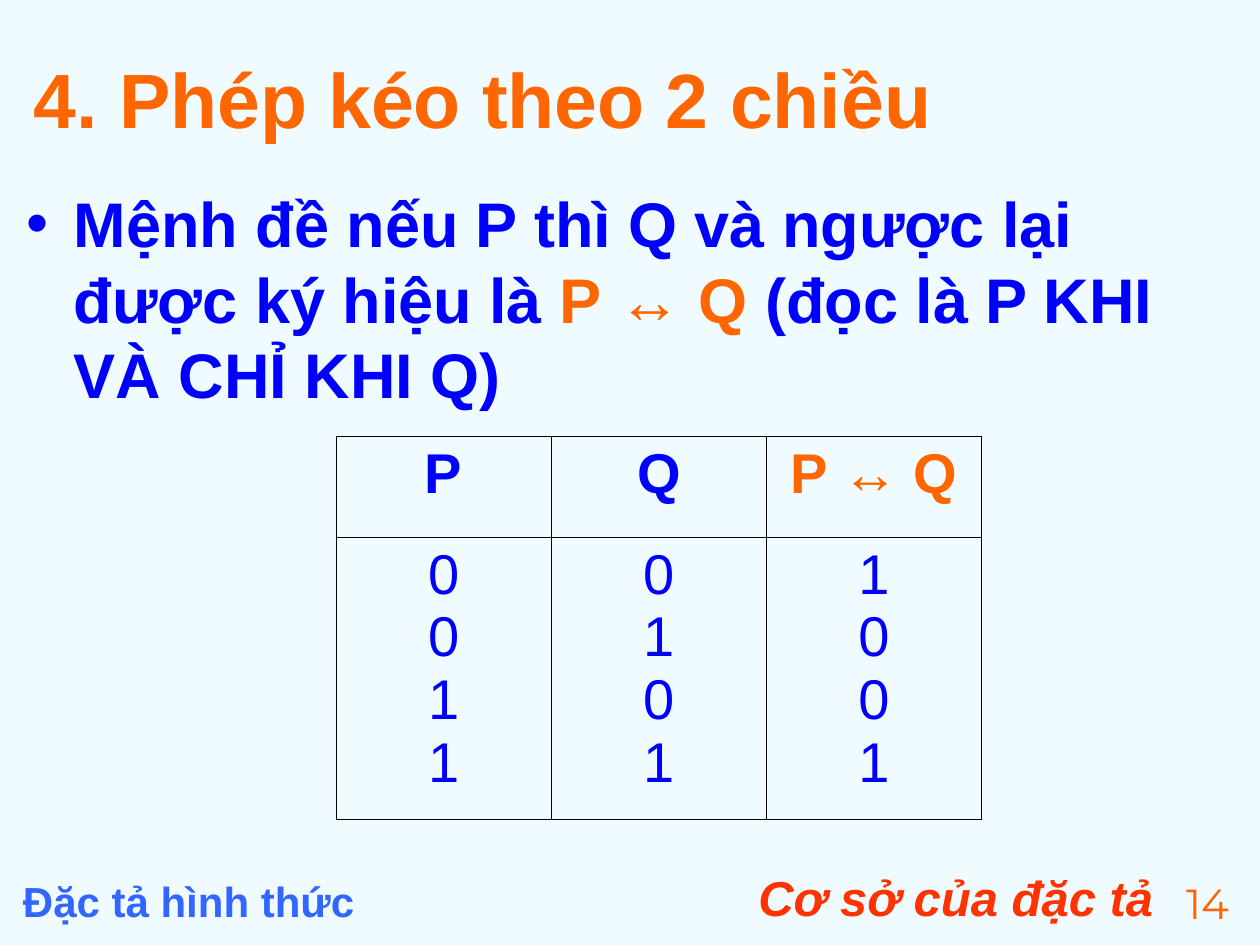
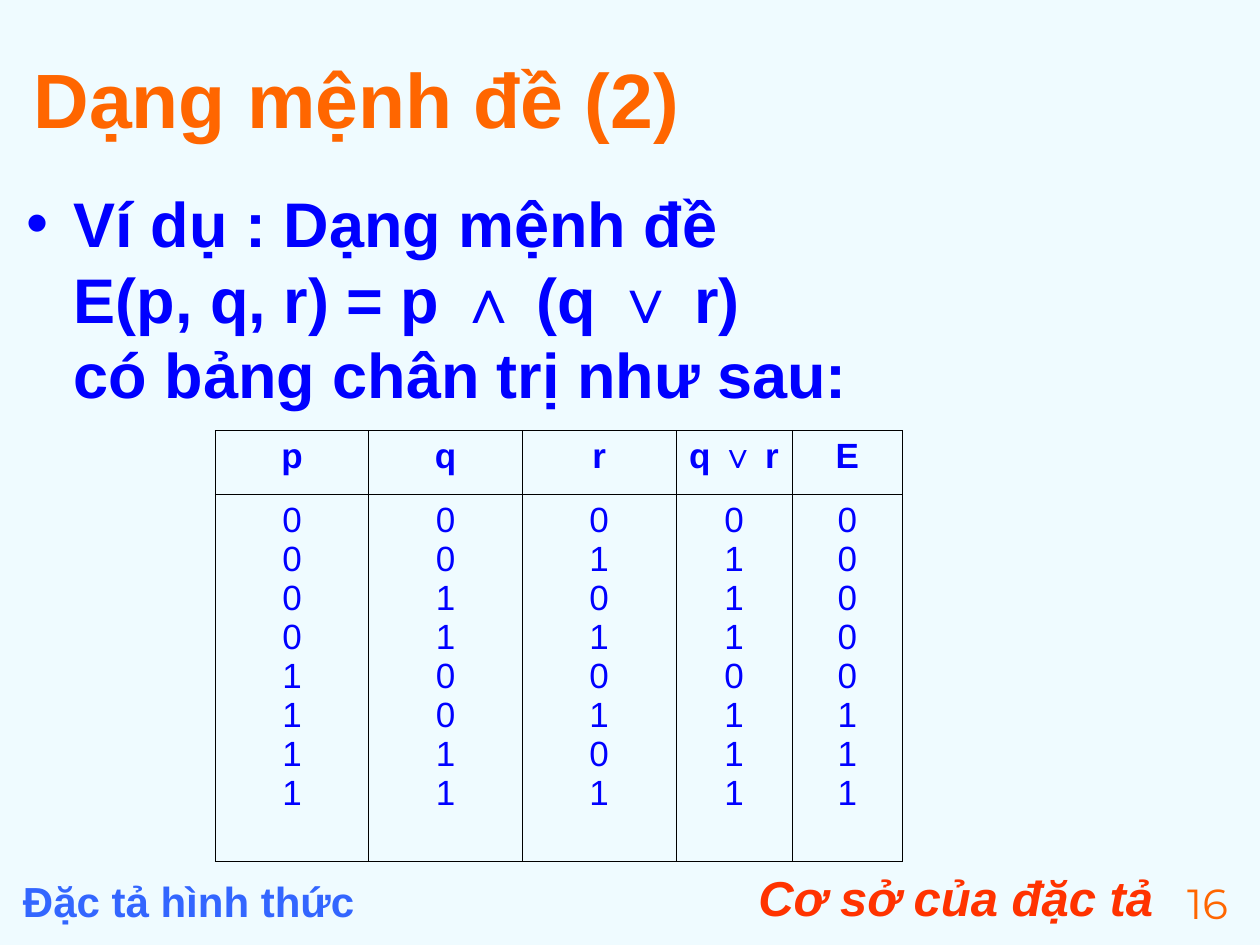
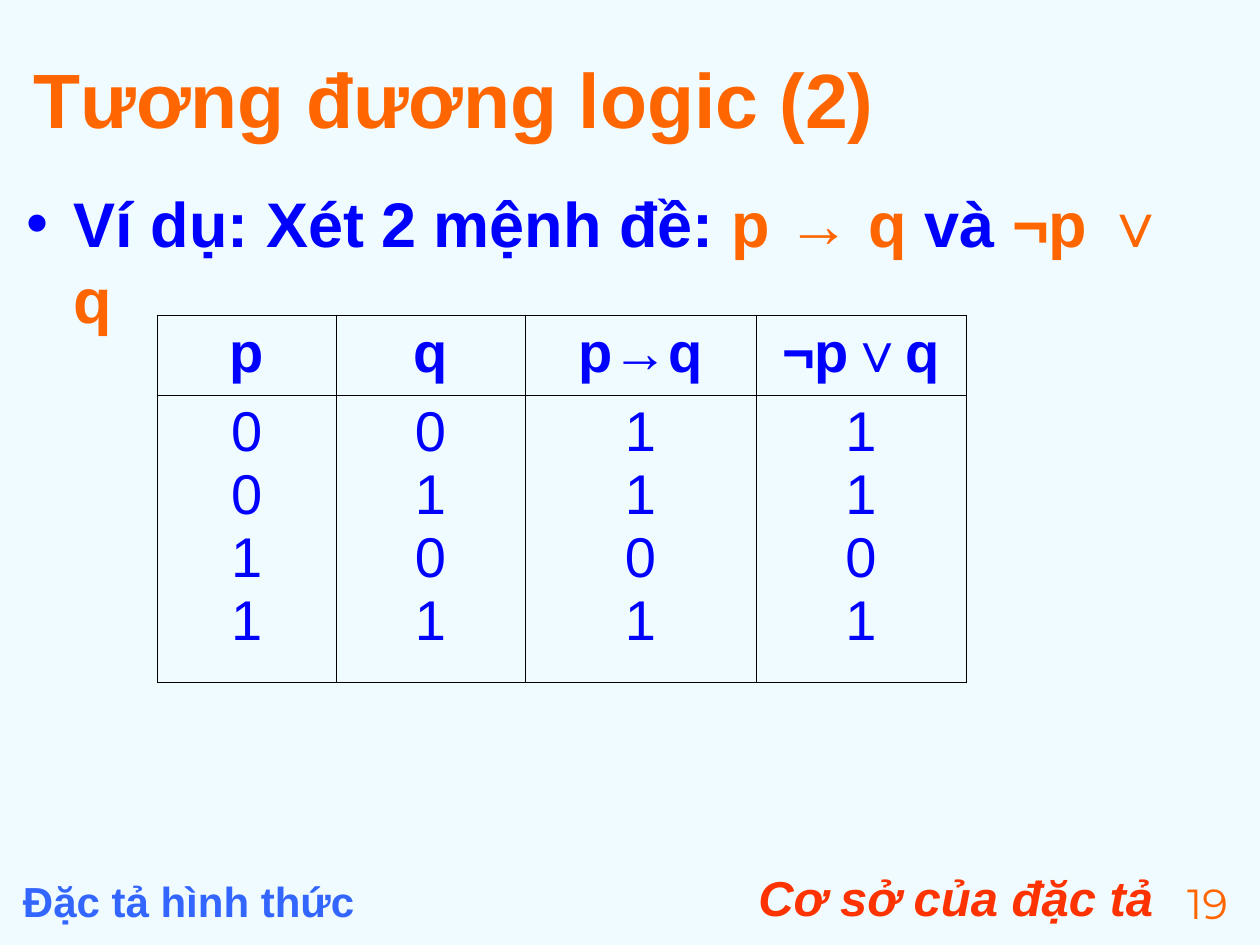
from lxml.etree import SubElement
from pptx import Presentation
from pptx.dml.color import RGBColor
from pptx.enum.text import MSO_ANCHOR, PP_ALIGN
from pptx.oxml.ns import qn
from pptx.util import Inches, Pt

BACKGROUND = RGBColor(0xEF, 0xFB, 0xFF)
ORANGE = RGBColor(0xFF, 0x66, 0x00)
BLUE = RGBColor(0x00, 0x00, 0xFF)
FOOTER_BLUE = RGBColor(0x33, 0x66, 0xFF)
FOOTER_RED = RGBColor(0xFF, 0x33, 0x00)
BLACK = RGBColor(0x00, 0x00, 0x00)

COLUMNS, ROWS = 120, 90
TITLE_ONLY = 5


def write(paragraph, text, size, color=BLUE, bold=True, italic=False, font="Arial"):
    """Add formatted text to a paragraph, with a line break at each newline."""
    for index, line in enumerate(text.split("\n")):
        if index:
            paragraph.add_line_break()
        run = paragraph.add_run()
        run.text = line
        run.font.name = font
        run.font.size = Pt(size)
        run.font.bold = bold
        run.font.italic = italic
        run.font.color.rgb = color


def add_solid_fill(parent, color):
    """Append a solid fill element to an XML parent."""
    fill = SubElement(parent, qn("a:solidFill"))
    SubElement(fill, qn("a:srgbClr"), val=str(color))


def add_bullet(paragraph, color, indent):
    """Give a paragraph a round bullet with a hanging indent."""
    properties = paragraph._p.get_or_add_pPr()
    properties.set("marL", str(indent))
    properties.set("indent", str(-indent))
    bullet_color = SubElement(properties, qn("a:buClr"))
    SubElement(bullet_color, qn("a:srgbClr"), val=str(color))
    SubElement(properties, qn("a:buFont"), typeface="Arial")
    SubElement(properties, qn("a:buChar"), char="•")


def add_borders(cell, color, width):
    """Draw a line on all four sides of a table cell."""
    properties = cell._tc.get_or_add_tcPr()
    for side in ("lnL", "lnR", "lnT", "lnB"):
        line = SubElement(properties, qn(f"a:{side}"), w=str(width))
        add_solid_fill(line, color)


class Deck:
    """Holds the shared style, the grid and the current slide."""

    def __init__(self):
        """Start a presentation with the shared background."""
        self.presentation = Presentation()
        self.presentation.slide_width = Inches(10)
        self.presentation.slide_height = Inches(7.5)
        fill = self.presentation.slide_master.background.fill
        fill.solid()
        fill.fore_color.rgb = BACKGROUND
        self.slide = None

    def across(self, columns):
        """Turn grid columns into a length."""
        return round(self.presentation.slide_width * columns / COLUMNS)

    def down(self, rows):
        """Turn grid rows into a length."""
        return round(self.presentation.slide_height * rows / ROWS)

    def box(self, left, top, width, height):
        """Turn a grid area into lengths."""
        return self.across(left), self.down(top), self.across(width), self.down(height)

    def add_slide(self, title, number):
        """Start a slide with its footers and title."""
        layout = self.presentation.slide_layouts[TITLE_ONLY]
        self.slide = self.presentation.slides.add_slide(layout)
        self.add_text((58, 82, 53, 6.2), "Cơ sở của đặc tả", align=PP_ALIGN.RIGHT,
                      size=28, color=FOOTER_RED, italic=True)
        self.add_text((1, 82.8, 57, 5.3), "Đặc tả hình thức", size=24, color=FOOTER_BLUE)
        self.add_text((111, 83, 8, 5.3), str(number), align=PP_ALIGN.CENTER,
                      size=24, color=ORANGE, bold=False, font="Montserrat")
        self.add_title(title)

    def add_title(self, text):
        """Place and format the title placeholder."""
        shape = self.slide.shapes.title
        shape.left, shape.top, shape.width, shape.height = self.box(2, 3.6, 116.9, 11.4)
        shape.text_frame.vertical_anchor = MSO_ANCHOR.MIDDLE
        paragraph = shape.text_frame.paragraphs[0]
        paragraph.alignment = PP_ALIGN.LEFT
        write(paragraph, text, size=44, color=ORANGE)

    def add_frame(self, area):
        """Add a wrapping text box and return its text frame."""
        frame = self.slide.shapes.add_textbox(*self.box(*area)).text_frame
        frame.word_wrap = True
        return frame

    def add_text(self, area, text, align=PP_ALIGN.LEFT, **text_format):
        """Add a single-paragraph text box."""
        paragraph = self.add_frame(area).paragraphs[0]
        paragraph.alignment = align
        write(paragraph, text, **text_format)

    def add_statement(self, *parts):
        """Add the bulleted statement from (text, color) parts."""
        frame = self.add_frame((1.3, 17, 116.3, 64))
        frame.margin_right = Inches(0.2)
        paragraph = frame.paragraphs[0]
        add_bullet(paragraph, BLUE, Inches(0.38))
        for text, color in parts:
            write(paragraph, text, size=36, color=color)

    def add_truth_table(self, corner, widths, heights, truth, size, accent=None):
        """Add a table of headings over digit columns, with one heading accented."""
        area = self.box(*corner, sum(widths), sum(heights))
        table = self.slide.shapes.add_table(2, len(widths), *area).table
        table.first_row = table.horz_banding = False
        for row, height in zip(table.rows, heights):
            row.height = self.down(height)
        for index, (heading, digits) in enumerate(truth.items()):
            table.columns[index].width = self.across(widths[index])
            color = ORANGE if heading == accent else BLUE
            self.fill_cell(table.cell(0, index), [heading], size, color=color)
            self.fill_cell(table.cell(1, index), digits, size, bold=False)

    def fill_cell(self, cell, lines, size, **text_format):
        """Write centred lines in a bordered, unfilled cell."""
        add_borders(cell, BLACK, Pt(0.45))
        cell.fill.background()
        frame = cell.text_frame
        for index, line in enumerate(lines):
            paragraph = frame.add_paragraph() if index else frame.paragraphs[0]
            paragraph.alignment = PP_ALIGN.CENTER
            write(paragraph, line, size, **text_format)


def main():
    """Build the three slides and save them."""
    deck = Deck()

    deck.add_slide("4. Phép kéo theo 2 chiều", 14)
    deck.add_statement(
        ("Mệnh đề nếu P thì Q và ngược lại được ký hiệu là ", BLUE),
        ("P ↔ Q", ORANGE),
        (" (đọc là P KHI VÀ CHỈ KHI Q)", BLUE),
    )
    deck.add_truth_table((32, 41.55), [20.5] * 3, [9.6, 26.9],
                         {"P": "0011", "Q": "0101", "P ↔ Q": "1001"},
                         size=32, accent="P ↔ Q")

    deck.add_slide("Dạng mệnh đề (2)", 16)
    deck.add_statement(
        ("Ví dụ : Dạng mệnh đề\nE(p, q, r) = p ∧ (q ∨ r)\ncó bảng chân trị như sau:", BLUE),
    )
    deck.add_truth_table((20.5, 41), [14.63] * 3 + [11.05, 10.55], [6.1, 34.9],
                         {"p": "00001111", "q": "00110011", "r": "01010101",
                          "q ∨ r": "01110111", "E": "00000111"}, size=20)

    deck.add_slide("Tương đương logic (2)", 19)
    deck.add_statement(
        ("Ví dụ: Xét 2 mệnh đề: ", BLUE),
        ("p → q", ORANGE),
        (" và ", BLUE),
        ("¬p ∨ q", ORANGE),
    )
    deck.add_truth_table((15, 30), [17, 18, 22, 20], [7.6, 27.4],
                         {"p": "0011", "q": "0101", "p→q": "1101", "¬p∨q": "1101"},
                         size=32)

    deck.presentation.save("out.pptx")


if __name__ == "__main__":
    main()
